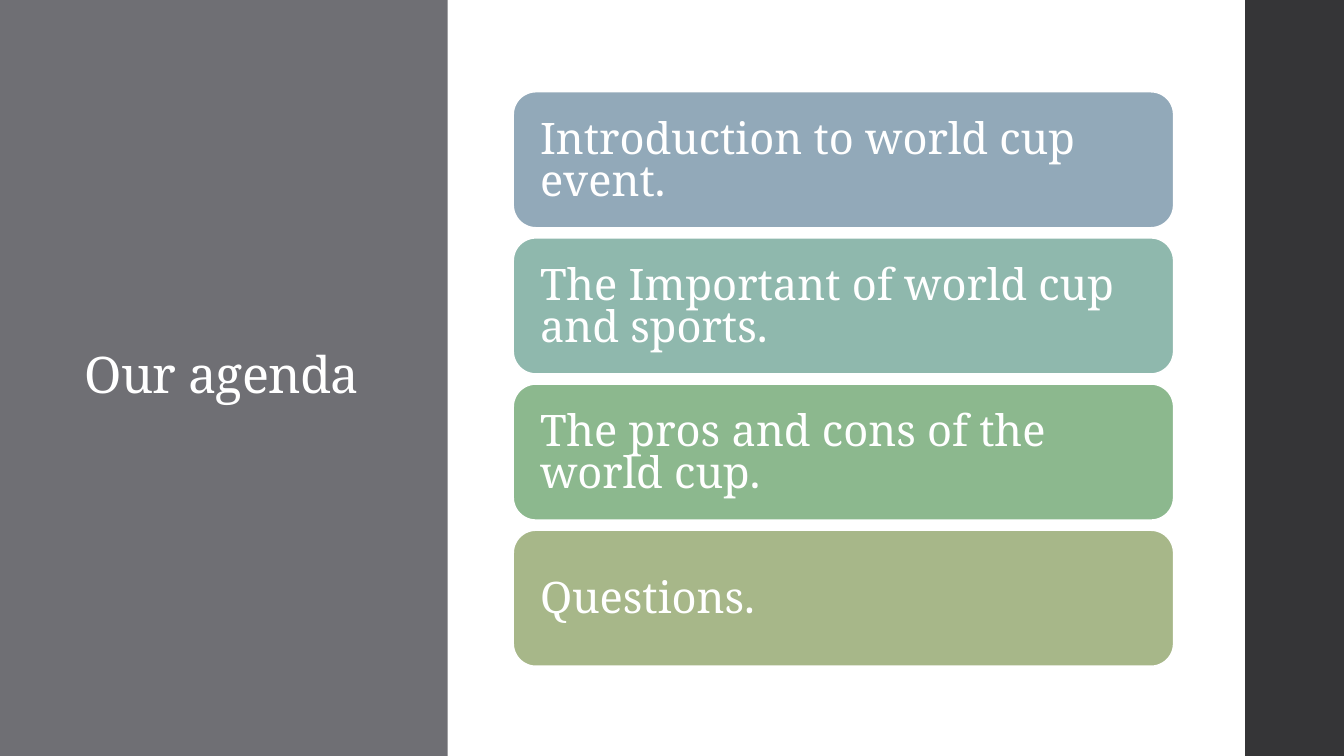
from dataclasses import dataclass

from pptx import Presentation
from pptx import util as u
from pptx.dml.color import RGBColor
from pptx.enum import shapes, text


@dataclass(frozen=True)
class Theme:
    font: str = "Noto Serif"
    white: str = "FFFFFF"
    panel: str = "6F6F74"
    edge: str = "353537"
    title_size: float = 36
    card_size: float = 31
    outline: float = 1.1


@dataclass(frozen=True)
class Box:
    left: float
    top: float
    width: float
    height: float

    def lengths(self) -> tuple:
        return tuple(u.Inches(v) for v in (self.left, self.top, self.width, self.height))


@dataclass(frozen=True)
class AgendaItem:
    label: str
    color: str


THEME = Theme()
PAGE = Box(0, 0, 13.33, 7.5)
TITLE_PANEL = Box(0, 0, 4.44, PAGE.height)
EDGE_PANEL = Box(12.35, 0, PAGE.width - 12.35, PAGE.height)
TITLE = Box(0.62, 0.91, 3.54, 5.67)
FIRST_CARD = Box(5.09, 0.91, 6.55, 1.35)
CARD_PITCH = 1.45
AGENDA = (
    AgendaItem("Introduction to world cup event.", "92A9B9"),
    AgendaItem("The Important of world cup and sports.", "8FB8AD"),
    AgendaItem("The pros and cons of the world cup.", "8CB88E"),
    AgendaItem("Questions.", "A7B789"),
)


def add_block(page, kind, box: Box, color: str, line: str | None = None):
    block = page.shapes.add_shape(kind, *box.lengths())
    block.shadow.inherit = False
    block.fill.solid()
    block.fill.fore_color.rgb = RGBColor.from_string(color)
    if line:
        block.line.color.rgb = RGBColor.from_string(line)
        block.line.width = u.Pt(THEME.outline)
    else:
        block.line.fill.background()
    return block


def write(shape, words: str, *, size: float, left: float, right: float,
          top: float = 0.05, bottom: float = 0.05,
          line_spacing: float = 0.9, tracking: float = 0) -> None:
    frame = shape.text_frame
    frame.word_wrap = True
    frame.auto_size = text.MSO_AUTO_SIZE.NONE
    frame.vertical_anchor = text.MSO_ANCHOR.MIDDLE
    frame.margin_left, frame.margin_right = u.Inches(left), u.Inches(right)
    frame.margin_top, frame.margin_bottom = u.Inches(top), u.Inches(bottom)
    para = frame.paragraphs[0]
    para.alignment = text.PP_ALIGN.LEFT
    para.line_spacing = line_spacing
    span = para.add_run()
    span.text = words
    span.font.name = THEME.font
    span.font.size = u.Pt(size)
    span.font.color.rgb = RGBColor.from_string(THEME.white)
    if tracking:
        span.font._element.set("spc", str(round(tracking * 100)))


def add_title(page, words: str) -> None:
    title = page.shapes.title
    title.left, title.top, title.width, title.height = TITLE.lengths()
    write(title, words, size=THEME.title_size, left=0.22, right=0.1, tracking=-0.5)


def add_agenda(page) -> None:
    for index, item in enumerate(AGENDA):
        box = Box(FIRST_CARD.left, FIRST_CARD.top + index * CARD_PITCH,
                  FIRST_CARD.width, FIRST_CARD.height)
        card = add_block(page, shapes.MSO_SHAPE.ROUNDED_RECTANGLE, box, item.color, THEME.white)
        write(card, item.label, size=THEME.card_size, left=0.2, right=0.2,
              top=0.13, bottom=0.07, line_spacing=0.8)


def main() -> None:
    deck = Presentation()
    deck.slide_width, deck.slide_height = u.Inches(PAGE.width), u.Inches(PAGE.height)
    page = deck.slides.add_slide(deck.slide_layouts.get_by_name("Title Only"))
    page.background.fill.solid()
    page.background.fill.fore_color.rgb = RGBColor.from_string(THEME.white)
    for box, color in ((TITLE_PANEL, THEME.panel), (EDGE_PANEL, THEME.edge)):
        panel = add_block(page, shapes.MSO_SHAPE.RECTANGLE, box, color)
        page.shapes.title._element.addprevious(panel._element)
    add_title(page, "Our agenda")
    add_agenda(page)
    deck.save("out.pptx")


main()
